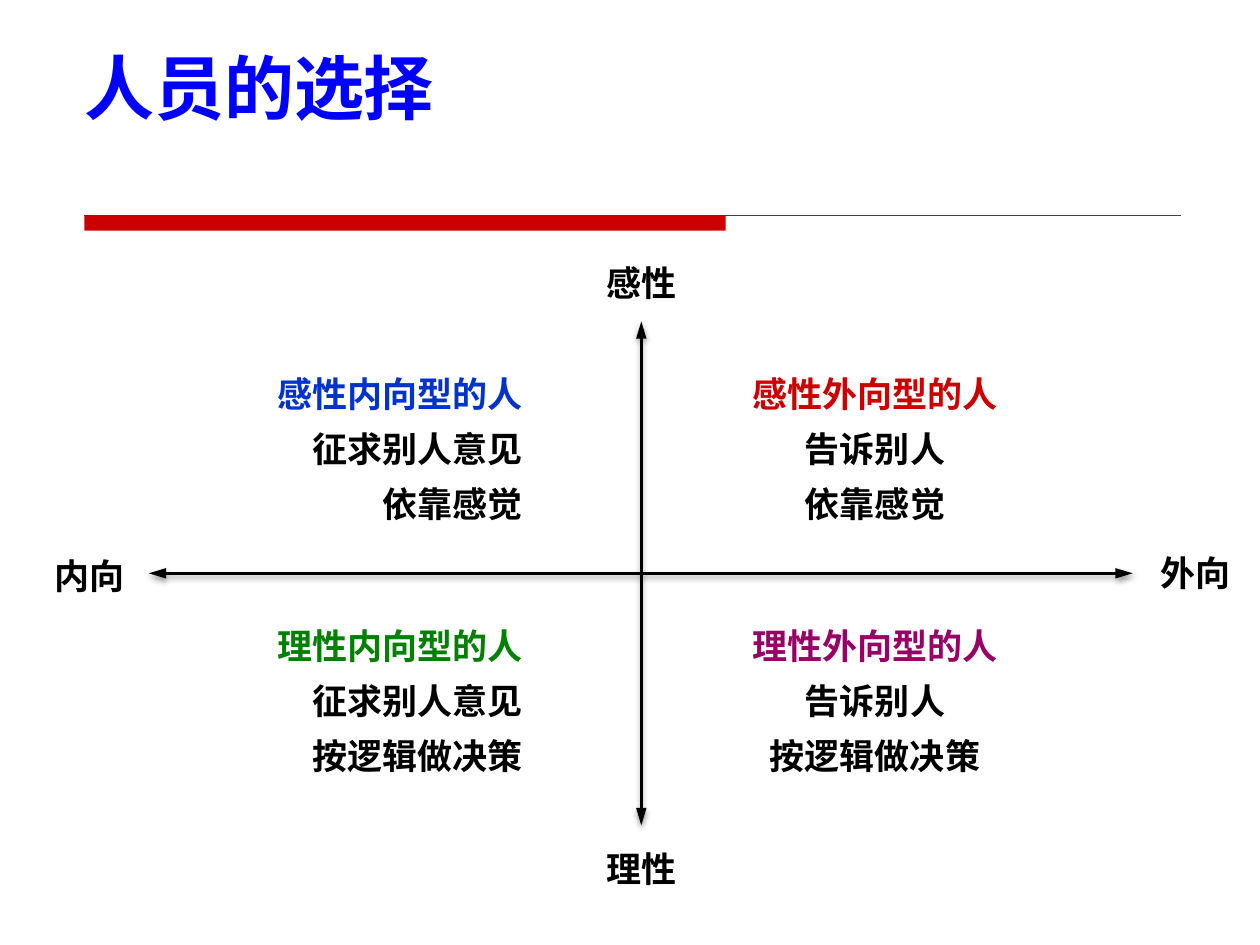
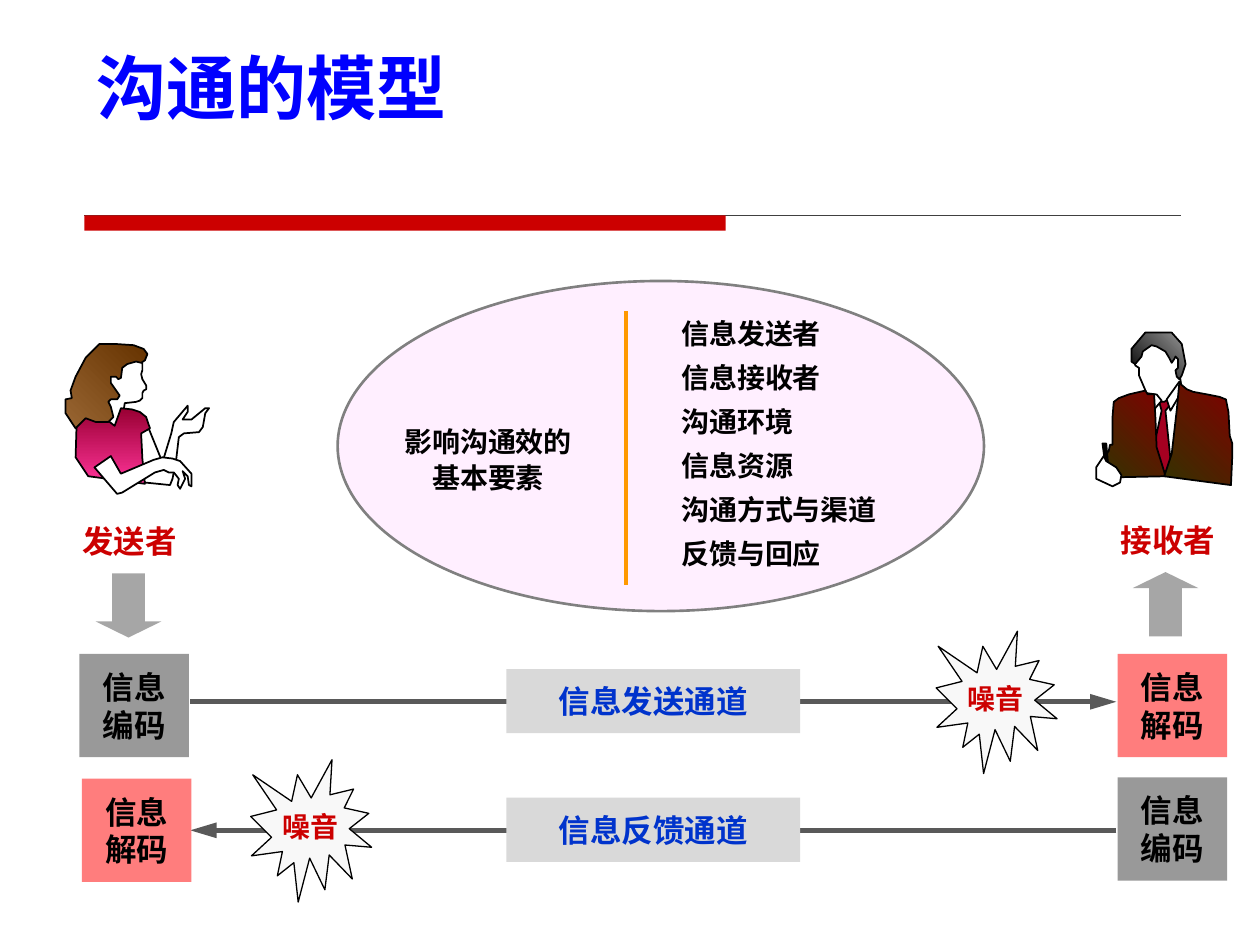
from lxml import etree
from pptx import Presentation
from pptx import util as u
from pptx.dml.color import RGBColor
from pptx.enum import shapes, text
from pptx.oxml.ns import qn

PX = 9144  # EMU in one px, 100 px to the inch
SANS, LATIN = "Noto Sans CJK SC", "Arial"
HUE = dict(
    title="0000FF", red="CC0000", rule="404040", black="000000", white="FFFFFF",
    blue="0033CC", green="008000", plum="990066", code="999999", decode="FF7D7D",
    arrow="A6A6A6", wire="595959", lane="D9D9D9", noise="F8F8F8", oval="FFCCFF",
    edge="808080", gold="FF9900", tie="A50021", wine="990033", pink="FF3399",
    tan="996633", brown="663300", ash="969696", olive="333300", maroon="800000",
)
SHAPE = shapes.MSO_SHAPE
ALIGN = dict(l=text.PP_ALIGN.LEFT, c=text.PP_ALIGN.CENTER, r=text.PP_ALIGN.RIGHT)

# Slide 1
AXES = [(118, 455, 899, 455), (509, 655, 509, 255)]
POLES = [("感性", 471, 203), ("理性", 471, 668), ("内向", 33, 435), ("外向", 911, 433)]
TYPES = [  # column, row, colour, lines
    (0, 0, "blue", ["感性内向型的人", "征求别人意见", "依靠感觉"]),
    (1, 0, "red", ["感性外向型的人", "告诉别人", "依靠感觉"]),
    (0, 1, "green", ["理性内向型的人", "征求别人意见", "按逻辑做决策"]),
    (1, 1, "plum", ["理性外向型的人", "告诉别人", "按逻辑做决策"]),
]
COLUMNS = [(208, "r"), (586, "c")]

# Slide 2
ROLES = [("发送者", 53, 404, SHAPE.DOWN_ARROW, 76, 455),
         ("接收者", 877, 403, SHAPE.UP_ARROW, 899, 454)]
LANES = [  # label, y of the wire, its ends, x of the noise
    ("信息发送通道", 557, (151, 886), 743),
    ("信息反馈通道", 659, (886, 151), 199),
]
STEPS = [("信息编码", "code", 63, 519), ("信息解码", "decode", 887, 519),
         ("信息编码", "code", 887, 617), ("信息解码", "decode", 65, 618)]
FACTORS = ["信息发送者", "信息接收者", "沟通环境", "信息资源", "沟通方式与渠道", "反馈与回应"]

# Outlines: fill (a colour, or two colours and an angle), then points
JACKET = ("olive", "maroon", 45)
SENDER = [
    ("white", [(106, 282), (112, 285), (113, 289), (113, 294), (112, 297), (113, 301),
               (116, 306), (116, 309), (114, 310), (113, 312), (113, 316), (111, 318),
               (108, 319), (99, 320), (95, 345), (77, 331), (80, 293)]),
    ("white", [(116, 335), (129, 367), (136, 344), (138, 335), (149, 322), (149, 327),
               (145, 333), (152, 333), (163, 324), (166, 324), (163, 328), (161, 339),
               (158, 343), (146, 344), (142, 347), (140, 364), (137, 380), (135, 385),
               (115, 383), (106, 363), (109, 339)]),
    (("wine", "pink", 270),
     [(91, 338), (96, 324), (105, 325), (111, 327), (116, 331), (119, 340), (112, 344),
      (113, 364), (115, 384), (70, 378), (60, 363), (61, 330), (82, 331)]),
    (("tan", "brown", 45),
     [(57, 316), (52, 317), (52, 328), (60, 340), (65, 335), (68, 332), (76, 335),
      (86, 335), (90, 331), (88, 323), (86, 319), (88, 317), (93, 317), (95, 314),
      (88, 304), (88, 299), (92, 299), (94, 301), (96, 300), (97, 292), (101, 289),
      (108, 287), (112, 288), (115, 286), (117, 281), (114, 277), (106, 274),
      (91, 273), (79, 273), (68, 284), (60, 299), (56, 310)]),
    ("white", [(75, 371), (88, 362), (96, 376), (122, 365), (129, 363), (137, 364),
               (143, 366), (152, 376), (152, 386), (150, 385), (149, 378), (145, 374),
               (147, 380), (144, 386), (143, 388), (141, 385), (142, 380), (138, 375),
               (134, 375), (130, 373), (123, 375), (97, 391), (93, 392)]),
]
RECEIVER = [
    ("white", [(913, 317), (924, 319), (938, 309), (933, 368), (915, 368)]),
    ("white", [(911, 272), (900, 285), (901, 290), (904, 292), (904, 298), (910, 312),
               (917, 313), (918, 321), (939, 315), (936, 296), (938, 285), (925, 272)]),
    (("black", "ash", 45),
     [(909, 264), (898, 277), (898, 287), (901, 289), (906, 283), (907, 279), (914, 274),
      (918, 275), (925, 279), (928, 284), (930, 288), (932, 285), (933, 283), (935, 285),
      (935, 292), (933, 294), (934, 299), (936, 301), (938, 298), (941, 289), (938, 273),
      (930, 264)]),
    ("tie", [(920, 319), (924, 319), (927, 317), (929, 321), (925, 326), (930, 374),
             (918, 374), (917, 349), (922, 326)]),
    ("white", [(939, 309), (936, 303), (926, 317), (929, 326)]),
    ("white", [(911, 313), (918, 313), (922, 318), (916, 325)]),
    (JACKET, [(916, 313), (911, 313), (909, 310), (896, 313), (888, 316), (884, 319),
              (883, 331), (883, 353), (881, 353), (880, 358), (875, 364), (878, 379),
              (925, 378), (923, 371), (918, 355), (917, 330)]),
    (JACKET, [(977, 385), (978, 362), (978, 352), (976, 346), (975, 327), (973, 317),
              (968, 315), (958, 313), (947, 311), (942, 309), (936, 304), (934, 325),
              (930, 360), (924, 378)]),
    ("black", [(878, 352), (875, 352), (878, 375), (880, 375)]),
    ("white", [(870, 371), (876, 362), (878, 366), (886, 371), (890, 377), (889, 383),
               (883, 386), (870, 380)]),
]


def rgb(name):
    return RGBColor.from_string(HUE[name])


def emu(*px):
    return [u.Emu(n * PX) for n in px]


def sub(node, tag, **attrs):
    return etree.SubElement(node, qn("a:" + tag), attrs)


def write(shape, lines, size, hue, align="c", font=SANS, space=1.0, gap=0,
          anchor="MIDDLE", wrap=True, rest=None):
    """Fill a shape with paragraphs; rest is the colour after the first one."""
    frame = shape.text_frame
    frame.word_wrap = wrap
    frame.vertical_anchor = text.MSO_ANCHOR[anchor]
    for i, line in enumerate(lines):
        para = frame.add_paragraph() if i else frame.paragraphs[0]
        form = dict(alignment=ALIGN[align], line_spacing=space,
                    space_before=u.Pt(gap if i else 0))
        for key, value in form.items():
            setattr(para, key, value)
        run = para.add_run()
        run.text = line
        for key, value in dict(size=u.Pt(size), bold=True, name=font).items():
            setattr(run.font, key, value)
        run.font.color.rgb = rgb(rest if i and rest else hue)
        sub(run.font._element, "ea", typeface=SANS)


def label(slide, box, lines, *args, **form):
    write(slide.shapes.add_textbox(*emu(*box)), lines, *args, **form)


def paint(shape, fill, edge=None, width=1):
    shape.shadow.inherit = False
    if isinstance(fill, tuple):
        *ends, angle = fill
        shape.fill.gradient()
        shape.fill.gradient_angle = angle
        for i, (stop, hue) in enumerate(zip(shape.fill.gradient_stops, ends)):
            stop.position, stop.color.rgb = i, rgb(hue)
    else:
        shape.fill.solid()
        shape.fill.fore_color.rgb = rgb(fill)
    if edge:
        shape.line.color.rgb, shape.line.width = rgb(edge), u.Pt(width)
    else:
        shape.line.fill.background()
    return shape


def block(slide, kind, box, *style):
    return paint(slide.shapes.add_shape(kind, *emu(*box)), *style)


def wire(slide, ends, hue, width, tips=(), shade=False):
    """Draw a line; tips names its arrowheads, headEnd before tailEnd."""
    line = slide.shapes.add_connector(shapes.MSO_CONNECTOR.STRAIGHT, *emu(*ends))
    line.line.color.rgb, line.line.width = rgb(hue), u.Pt(width)
    for tip in tips:
        sub(line.line._get_or_add_ln(), tip, type="triangle", len="lg")
    fx = sub(line._element.spPr, "effectLst")
    if shade:
        drop = sub(fx, "outerShdw", blurRad=str(u.Pt(3.1)), dist=str(u.Pt(1.6)),
                   dir="5400000", rotWithShape="0")
        sub(sub(drop, "srgbClr", val=HUE["black"]), "alpha", val="38000")


def figure(slide, parts):
    for fill, points in parts:
        pen = slide.shapes.build_freeform(*points[0], scale=PX)
        pen.add_line_segments(points[1:], close=True)
        paint(pen.convert_to_shape(), fill, "black")


def start(deck, title, left):
    """Add a slide with the title and the red rule."""
    slide = deck.slides.add_slide(deck.slide_layouts[6])
    wire(slide, (67, 171, 937, 171), "rule", 0.5)
    block(slide, SHAPE.RECTANGLE, (67, 171, 509, 12), "red")
    label(slide, (left, 32, 778, 73), [title], 40, "title", "l")
    return slide


def choice(deck):
    slide = start(deck, "人员的选择", 57)
    for ends in AXES:
        wire(slide, ends, "black", 1.5, ("headEnd", "tailEnd"), shade=True)
    form = dict(font=LATIN, anchor="TOP", wrap=False)
    for name, x, y in POLES:
        label(slide, (x, y, 76, 44), [name], 20, "black", **form)
    for col, row, hue, lines in TYPES:
        x, align = COLUMNS[col]
        label(slide, (x, 281 + 200 * row, 217, 140), lines, 20, hue, align,
              space=1.3, rest="black", **form)


def model(deck):
    slide = start(deck, "沟通的模型", 67)
    for name, x, y, kind, left, top in ROLES:
        label(slide, (x, y, 100, 51), [name], 18, "red", wrap=False)
        block(slide, kind, (left, top, 52, 51), "arrow").adjustments[1] = 0.25
    for name, y, (begin, end), noise in LANES:
        wire(slide, (begin, y, end, y), "wire", 3, ["tailEnd"])
        lane = block(slide, SHAPE.RECTANGLE, (402, y - 26, 233, 51), "lane")
        write(lane, [name], 18, "blue")
        burst = block(slide, SHAPE.EXPLOSION1, (noise, y - 56, 96, 113),
                      "noise", "black", 0.75)
        write(burst, ["噪音"], 16, "red", wrap=False)
    for name, fill, x, y in STEPS:
        step = block(slide, SHAPE.RECTANGLE, (x, y, 87, 82), fill)
        write(step, [name], 18, "black")
    figure(slide, SENDER)
    figure(slide, RECEIVER)

    oval = block(slide, SHAPE.OVAL, (268, 223, 513, 262), "oval", "edge", 1.5)
    tint = oval._element.spPr.find(qn("a:solidFill"))[0]
    sub(tint, "alpha", val="30000")
    label(slide, (531, 246, 234, 214), FACTORS, 16, "black", "l", gap=6, anchor="TOP")
    wire(slide, (497, 247, 497, 464), "gold", 2.25)
    label(slide, (306, 329, 163, 69), ["影响沟通效的基本要素"], 16, "black",
          space=1.1, anchor="TOP")


def main():
    deck = Presentation()
    deck.slide_width, deck.slide_height = emu(1000, 750)
    choice(deck)
    model(deck)
    deck.save("out.pptx")


if __name__ == "__main__":
    main()
